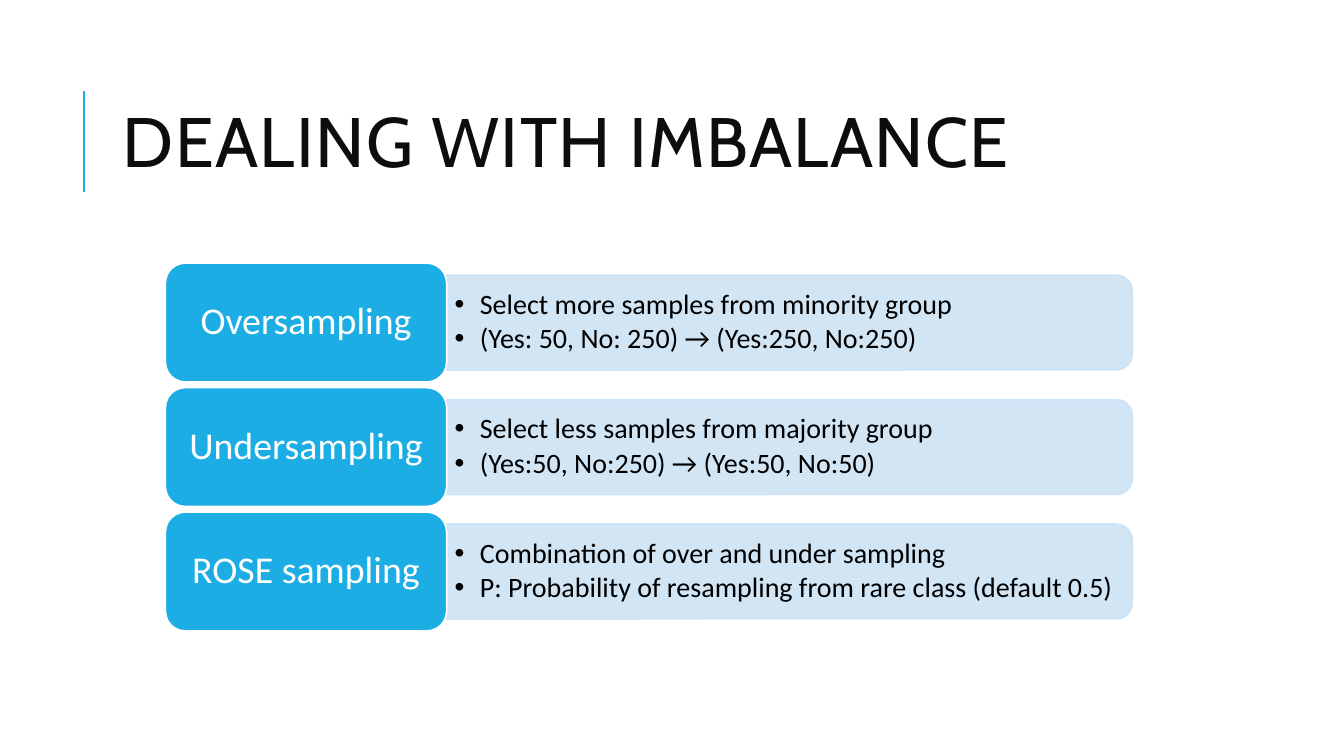
from dataclasses import dataclass

from lxml import etree
from pptx import Presentation
from pptx import util as u
from pptx.dml.color import RGBColor
from pptx.enum import shapes, text
from pptx.oxml import ns

TITLE = "DEALING WITH IMBALANCE"
METHODS = [
    ("Oversampling", [
        "Select more samples from minority group",
        "(Yes: 50, No: 250) → (Yes:250, No:250)",
    ]),
    ("Undersampling", [
        "Select less samples from majority group",
        "(Yes:50, No:250) → (Yes:50, No:50)",
    ]),
    ("ROSE sampling", [
        "Combination of over and under sampling",
        "P: Probability of resampling from rare class (default 0.5)",
    ]),
]


@dataclass(frozen=True)
class Theme:
    accent: str = "1CADE4"
    band: str = "CDE3F5"
    band_alpha: int = 90000
    heading: str = "0D0D0D"
    body: str = "000000"
    paper: str = "FFFFFF"
    heading_font: str = "Cabin"
    body_font: str = "Calibri"
    heading_size: int = 50
    label_size: int = 27
    detail_size: int = 20
    outline: float = 1.25
    rule: float = 1.5


THEME = Theme()
WIDTH, HEIGHT = 13.33, 7.5
LEFT, TOP = 1.64, 2.61
LABEL_W, BAND_W = 2.79, 6.8
LABEL_H, BAND_H, DETAIL_H = 1.18, 0.94, 0.85
PITCH = 1.235
HANG = 0.25


def inches(*lengths):
    return [u.Inches(length) for length in lengths]


def add_child(parent, tag, **attributes):
    return etree.SubElement(parent, ns.qn(tag), attributes)


def set_frame(shape, inset_x, inset_y):
    frame = shape.text_frame
    frame.word_wrap = True
    frame.vertical_anchor = text.MSO_ANCHOR.MIDDLE
    frame.margin_left = frame.margin_right = u.Inches(inset_x)
    frame.margin_top = frame.margin_bottom = u.Inches(inset_y)
    return frame


def write(paragraph, words, font, size, color, spacing=0.9):
    paragraph.line_spacing = spacing
    run = paragraph.add_run()
    run.text = words
    run.font.name = font
    run.font.size = u.Pt(size)
    run.font.color.rgb = RGBColor.from_string(color)
    return run


def paint(shape, fill, line):
    shape.shadow.inherit = False
    shape.fill.solid()
    shape.fill.fore_color.rgb = RGBColor.from_string(fill)
    shape.line.color.rgb = RGBColor.from_string(line)
    shape.line.width = u.Pt(THEME.outline)


def add_heading(slide):
    rule = slide.shapes.add_connector(
        shapes.MSO_CONNECTOR.STRAIGHT, *inches(0.83, 1.9, 0.83, 0.9))
    rule.line.color.rgb = RGBColor.from_string(THEME.accent)
    rule.line.width = u.Pt(THEME.rule)
    add_child(rule.element.spPr, "a:effectLst")

    heading = slide.shapes.add_textbox(*inches(1.12, 0.64, 10.63, 1.64))
    run = write(set_frame(heading, 0.1, 0.05).paragraphs[0], TITLE,
                THEME.heading_font, THEME.heading_size, THEME.heading, 0.8)
    run.font._element.set("spc", "100")


def add_band(slide, middle):
    center = LEFT + LABEL_W + BAND_W / 2
    band = slide.shapes.add_shape(
        shapes.MSO_SHAPE.ROUND_2_SAME_RECTANGLE,
        *inches(center - BAND_H / 2, middle - BAND_W / 2, BAND_H, BAND_W))
    band.rotation = 90
    paint(band, THEME.band, THEME.band)
    for color in band.element.spPr.iter(ns.qn("a:srgbClr")):
        add_child(color, "a:alpha", val=str(THEME.band_alpha))


def add_details(slide, middle, details):
    box = slide.shapes.add_textbox(
        *inches(LEFT + LABEL_W, middle - DETAIL_H / 2, BAND_W - 0.04, DETAIL_H))
    frame = set_frame(box, 0.08, 0.04)
    for index, detail in enumerate(details):
        paragraph = frame.add_paragraph() if index else frame.paragraphs[0]
        write(paragraph, detail, THEME.body_font, THEME.detail_size, THEME.body)
        paragraph.space_after = u.Pt(3)
        properties = paragraph._p.get_or_add_pPr()
        properties.set("marL", str(u.Inches(HANG)))
        properties.set("indent", str(-u.Inches(HANG)))
        add_child(properties, "a:buFont", typeface="Arial")
        add_child(properties, "a:buChar", char="•")


def add_label(slide, middle, method):
    label = slide.shapes.add_shape(
        shapes.MSO_SHAPE.ROUNDED_RECTANGLE,
        *inches(LEFT, middle - LABEL_H / 2, LABEL_W, LABEL_H))
    paint(label, THEME.accent, THEME.paper)
    paragraph = set_frame(label, 0.11, 0.06).paragraphs[0]
    paragraph.alignment = text.PP_ALIGN.CENTER
    write(paragraph, method, THEME.body_font, THEME.label_size, THEME.paper)


def main():
    deck = Presentation()
    deck.slide_width, deck.slide_height = inches(WIDTH, HEIGHT)
    slide = deck.slides.add_slide(deck.slide_layouts[6])
    add_heading(slide)
    for row, (method, details) in enumerate(METHODS):
        middle = TOP + LABEL_H / 2 + row * PITCH
        add_band(slide, middle)
        add_details(slide, middle, details)
        add_label(slide, middle, method)
    deck.save("out.pptx")


if __name__ == "__main__":
    main()
